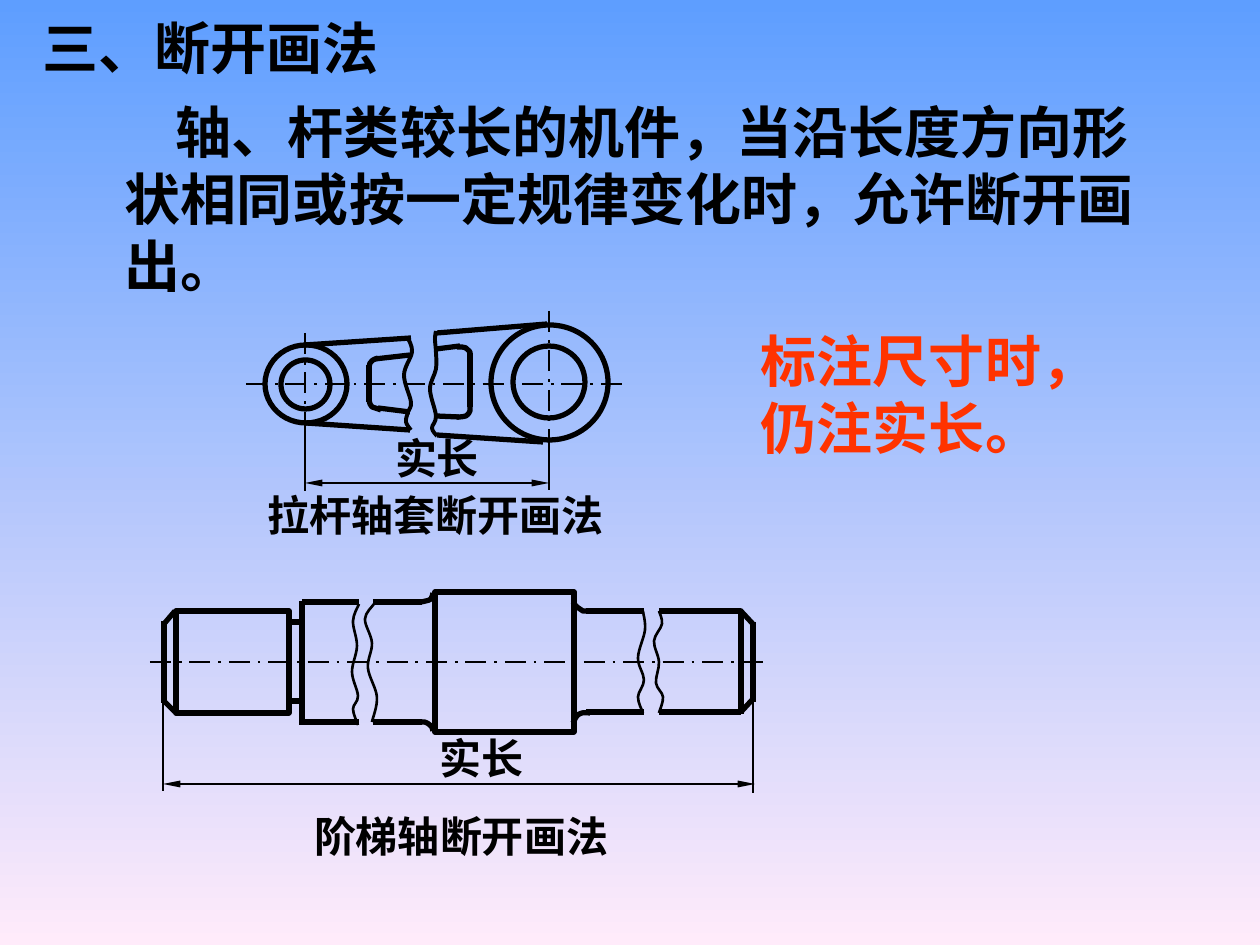
"""Build the slide on broken-view drawing of long machine parts."""
from itertools import pairwise

from lxml.etree import SubElement
from pptx import Presentation
from pptx.dml.color import RGBColor
from pptx.enum.dml import MSO_LINE
from pptx.enum.shapes import MSO_CONNECTOR, MSO_SHAPE
from pptx.enum.text import MSO_ANCHOR, MSO_AUTO_SIZE, PP_ALIGN
from pptx.oxml.ns import qn
from pptx.util import Pt

PX = 914400 / 126
INK = RGBColor(0x00, 0x00, 0x00)
RED = RGBColor(0xFF, 0x33, 0x00)
SKY = RGBColor(0x5E, 0x9E, 0xFF)
BLUSH = RGBColor(0xFF, 0xEB, 0xFA)
CJK = "Noto Sans CJK SC"
SERIF = "Times New Roman"
OUTLINE, BREAK, THIN = 3, 2.25, 1.5

ROD_CORNERS = [
    [(378, 358), (373, 360), (370, 363), (369, 368)],
    [(369, 399), (370, 404), (372, 407), (375, 408), (381, 410)],
    [(457, 347), (462, 347), (466, 348), (467, 349), (470, 352), (470, 354)],
    [(457, 417), (460, 417), (466, 416), (469, 413), (470, 411), (470, 406)],
]
ROD_BREAKS = [
    [(408, 338), (412, 352), (404, 375), (411, 402), (408, 412), (406, 422), (411, 430)],
    [(436, 331), (435, 339), (436, 352), (436, 369), (430, 389), (436, 416), (432, 428),
     (437, 436)],
]
ROD_EDGES = [
    (470, 353, 470, 407), (437, 333, 547, 324), (437, 435, 543, 442),
    (436, 349, 460, 346), (437, 416, 459, 417), (375, 359, 410, 355),
    (369, 365, 369, 402), (305, 345, 411, 338), (306, 423, 410, 430),
    (378, 408, 410, 412),
]
ROD_CIRCLES = [(281, 360, 49, 49), (491, 325, 117, 115), (513, 346, 72, 72), (265, 345, 82, 78)]
ROD_AXES = [(246, 384, 629, 384), (549, 311, 549, 452), (305, 333, 305, 442)]

SHAFT_FILLETS = [
    [(421, 602), (426, 601), (431, 599), (433, 593)],
    [(418, 722), (425, 722), (430, 725), (432, 727), (433, 731)],
    [(587, 611), (583, 611), (580, 609), (576, 606), (573, 602)],
    [(590, 713), (582, 713), (577, 716), (573, 723)],
]
SHAFT_BREAKS = [
    [(359, 604), (353, 621), (357, 646), (352, 672), (358, 696), (353, 709), (358, 725)],
    [(374, 604), (365, 619), (372, 643), (368, 668), (377, 697), (372, 722)],
    [(643, 611), (645, 630), (638, 658), (644, 680), (638, 697), (643, 713)],
    [(659, 611), (662, 624), (654, 641), (659, 662), (656, 683), (663, 697), (659, 713)],
]
SHAFT_STEPS = [
    (290, 302, 622, 701), (302, 359, 602, 722), (373, 422, 602, 722),
    (586, 644, 611, 712), (659, 741, 611, 712),
]
SHAFT_SHOULDERS = [(164, 621, 703), (302, 601, 725), (741, 610, 714), (753, 622, 702)]
SHAFT_CHAMFERS = [
    [(175, 611), (164, 624)], [(175, 712), (164, 701)],
    [(740, 610), (753, 624)], [(741, 712), (753, 699)],
]
SHAFT_BLOCKS = [(176, 611, 113, 102), (435, 592, 139, 140)]


def emu(*lengths):
    """Turn px lengths into EMU."""
    return [round(length * PX) for length in lengths]


def apply(target, **values):
    """Set each named format value on the target."""
    for name, value in values.items():
        setattr(target, name, value)


def ink(line, weight):
    """Give a line the drawing ink and a weight in points."""
    line.color.rgb = INK
    line.width = Pt(weight)


def add_line(shapes, ends, weight=OUTLINE, dash=None, arrows=False):
    """Draw a straight line, as an axis or dimension where asked."""
    edge = shapes.add_connector(MSO_CONNECTOR.STRAIGHT, *emu(*ends))
    ink(edge.line, weight)
    if dash:
        edge.line.dash_style = dash
    properties = edge.element.spPr
    if arrows:
        for end in ("a:headEnd", "a:tailEnd"):
            SubElement(properties.find(qn("a:ln")), qn(end), type="triangle", w="sm", len="lg")
    SubElement(properties, qn("a:effectLst"))


def add_outline(shapes, preset, box):
    """Draw an unfilled preset shape."""
    part = shapes.add_shape(preset, *emu(*box))
    part.fill.background()
    part.shadow.inherit = False
    ink(part.line, OUTLINE)


def bend(outline):
    """Turn the straight segments of an outline into smooth cubic ones."""
    knots = [(int(pt.get("x")), int(pt.get("y"))) for pt in outline.iter(qn("a:pt"))]
    padded = [knots[0], *knots, knots[-1]]
    for segment in outline.findall(qn("a:lnTo")):
        outline.remove(segment)
    for i, (start, end) in enumerate(pairwise(knots)):
        before, after = padded[i], padded[i + 3]
        leave = [s + (e - b) / 6 for b, s, e in zip(before, start, end)]
        arrive = [e - (a - s) / 6 for s, e, a in zip(start, end, after)]
        cubic = SubElement(outline, qn("a:cubicBezTo"))
        for x, y in (leave, arrive, end):
            SubElement(cubic, qn("a:pt"), x=str(round(x)), y=str(round(y)))


def add_trace(shapes, knots, weight=OUTLINE):
    """Draw an open outline through the knots, smooth if more than two."""
    first, *rest = [emu(*knot) for knot in knots]
    builder = shapes.build_freeform(*first)
    builder.add_line_segments(rest, close=False)
    trace = builder.convert_to_shape()
    trace.fill.background()
    trace.shadow.inherit = False
    ink(trace.line, weight)
    if len(knots) > 2:
        bend(next(trace.element.iter(qn("a:path"))))


def add_text(shapes, words, box, size=24, face=SERIF, color=INK, align=PP_ALIGN.LEFT,
             anchor=MSO_ANCHOR.MIDDLE, wrap=True, indent=0):
    """Write one bold paragraph in a text box."""
    frame = shapes.add_textbox(*emu(*box)).text_frame
    left, top, right, bottom = emu(13, 6, 9, 6)
    apply(frame, word_wrap=wrap, auto_size=MSO_AUTO_SIZE.SHAPE_TO_FIT_TEXT,
          vertical_anchor=anchor, margin_left=left, margin_top=top,
          margin_right=right, margin_bottom=bottom)
    paragraph = frame.paragraphs[0]
    apply(paragraph, alignment=align, line_spacing=Pt(size * 1.2))
    if indent:
        paragraph._p.get_or_add_pPr().set("indent", str(emu(indent)[0]))
    run = paragraph.add_run()
    run.text = words
    apply(run.font, name=face, size=Pt(size), bold=True)
    run.font.color.rgb = color
    SubElement(run.font._element, qn("a:ea"), typeface=CJK)


def add_dimension(slide, extensions, arrow, label_box):
    """Draw a true-length dimension with its label."""
    shapes = slide.shapes.add_group_shape().shapes
    for extension in extensions:
        add_line(shapes, extension, THIN)
    add_line(shapes, arrow, THIN, arrows=True)
    add_text(shapes, "实长", label_box, align=PP_ALIGN.CENTER)


def add_rod(slide):
    """Draw the broken connecting rod."""
    shapes = slide.shapes.add_group_shape().shapes
    add_text(shapes, "拉杆轴套断开画法", (255, 483, 362, 63), wrap=False)
    for circle in ROD_CIRCLES:
        add_outline(shapes, MSO_SHAPE.OVAL, circle)
    for axis in ROD_AXES:
        add_line(shapes, axis, THIN, MSO_LINE.LONG_DASH_DOT)
    for edge in ROD_EDGES:
        add_line(shapes, edge)
    for corner in ROD_CORNERS:
        add_trace(shapes, corner)
    for wave in ROD_BREAKS:
        add_trace(shapes, wave, BREAK)


def add_shaft(slide):
    """Draw the broken stepped shaft."""
    shapes = slide.shapes.add_group_shape().shapes
    add_line(shapes, (150, 662, 769, 662), THIN, MSO_LINE.LONG_DASH_DOT)
    for block in SHAFT_BLOCKS:
        add_outline(shapes, MSO_SHAPE.RECTANGLE, block)
    for left, right, *sides in SHAFT_STEPS:
        for y in sides:
            add_line(shapes, (left, y, right, y))
    for x, top, bottom in SHAFT_SHOULDERS:
        add_line(shapes, (x, top, x, bottom))
    for corner in SHAFT_CHAMFERS + SHAFT_FILLETS:
        add_trace(shapes, corner)
    add_text(shapes, "阶梯轴断开画法", (299, 804, 320, 63), align=PP_ALIGN.CENTER, wrap=False)
    for wave in SHAFT_BREAKS:
        add_trace(shapes, wave, THIN)


def paint_background(slide):
    """Fill the background from sky blue down to blush."""
    fill = slide.background.fill
    fill.gradient()
    fill.gradient_angle = 270
    for stop, position, color in zip(fill.gradient_stops, (0, 1), (SKY, BLUSH)):
        apply(stop, position=position)
        apply(stop.color, rgb=color)


def main():
    """Assemble and save the slide."""
    deck = Presentation()
    deck.slide_width, deck.slide_height = emu(1260, 945)
    slide = deck.slides.add_slide(deck.slide_layouts[6])
    paint_background(slide)
    add_dimension(slide, [(305, 426, 305, 491), (549, 440, 549, 490)],
                  (305, 483, 549, 483), (368, 426, 134, 63))
    add_dimension(slide, [(163, 699, 163, 791), (753, 701, 753, 793)],
                  (163, 784, 755, 784), (405, 726, 149, 63))
    heading = {"size": 32, "face": CJK}
    add_text(slide.shapes, "三、断开画法", (29, 8, 362, 81), anchor=MSO_ANCHOR.TOP,
             wrap=False, **heading)
    add_text(slide.shapes, "轴、杆类较长的机件，当沿长度方向形状相同或按一定规律变化时，允许断开画出。",
             (112, 91, 1057, 214), indent=51, **heading)
    add_text(slide.shapes, "标注尺寸时，仍注实长。", (748, 320, 379, 147), color=RED, **heading)
    add_rod(slide)
    add_shaft(slide)
    deck.save("out.pptx")


if __name__ == "__main__":
    main()
